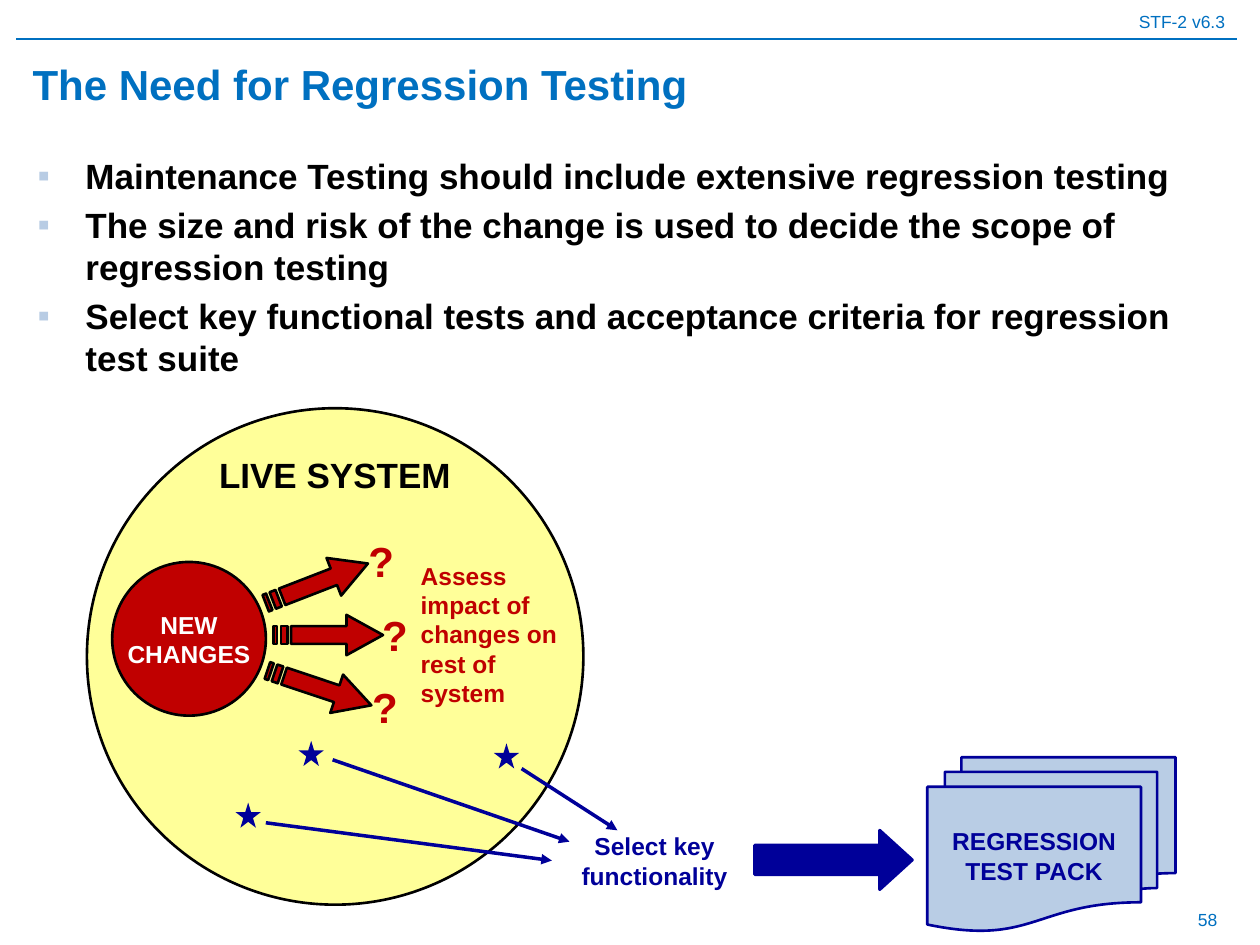
import pptx
import pptx.util
import pptx.dml.color
import pptx.enum.shapes
import pptx.enum.text
import pptx.oxml.ns
import lxml.etree

Inches = pptx.util.Inches
Shapes = pptx.enum.shapes.MSO_SHAPE
Align = pptx.enum.text.PP_ALIGN
Anchor = pptx.enum.text.MSO_ANCHOR

COLORS = {
    "blue": "0070C0", "black": "000000", "white": "FFFFFF", "bullet": "B8CCE4",
    "yellow": "FFFF99", "red": "C00000", "navy": "000099", "paper": "B9CDE5",
}
TITLE = "The Need for Regression Testing"
BULLETS = [
    "Maintenance Testing should include extensive regression testing",
    "The size and risk of the change is used to decide the scope of regression testing",
    "Select key functional tests and acceptance criteria for regression test suite",
]
IMPACT_ARROWS = [
    {"at": (2.08, 4.47), "rotation": 338.8, "mark": (2.81, 4.2)},
    {"at": (2.17, 4.88), "rotation": 0, "mark": (2.92, 4.79)},
    {"at": (2.1, 5.3), "rotation": 18.5, "mark": (2.84, 5.36)},
]
ARROW_OUTLINES = [
    [(0.58, 0), (0.58, 0.09), (0.14, 0.09), (0.14, 0.23), (0.58, 0.23), (0.58, 0.32), (0.87, 0.16)],
    [(0.06, 0.09), (0.06, 0.23), (0.11, 0.23), (0.11, 0.09)],
    [(0, 0.09), (0, 0.23), (0.03, 0.23), (0.03, 0.09)],
]
KEY_FUNCTIONS = [
    {"star": (3.92, 5.9), "start": (4.14, 6.1), "end": (4.9, 6.59)},
    {"star": (2.37, 5.88), "start": (2.64, 6.03), "end": (4.52, 6.68)},
    {"star": (1.87, 6.37), "start": (2.11, 6.53), "end": (4.38, 6.83)},
]

presentation = pptx.Presentation()
presentation.slide_width = Inches(10)
presentation.slide_height = Inches(7.5)
slide = presentation.slides.add_slide(presentation.slide_layouts[6])


def rgb(name):
    return pptx.dml.color.RGBColor.from_string(COLORS[name])


def add_xml(parent, tag, **attributes):
    return lxml.etree.SubElement(parent, pptx.oxml.ns.qn(tag), attributes)


def write_text(shape, text, size=14, color="black", bold=True, align=Align.LEFT,
               anchor=Anchor.TOP, wrap=True, inset=None, bullet=False):
    frame = shape.text_frame
    frame.word_wrap = wrap
    frame.vertical_anchor = anchor
    if inset is not None:
        frame.margin_left = frame.margin_right = Inches(inset)
        frame.margin_top = frame.margin_bottom = Inches(inset)
    lines = text if isinstance(text, list) else [text]
    for index, line in enumerate(lines):
        paragraph = frame.paragraphs[0] if index == 0 else frame.add_paragraph()
        if bullet:
            properties = paragraph._p.get_or_add_pPr()
            properties.set("marL", str(Inches(0.38)))
            properties.set("indent", str(-Inches(0.38)))
            add_xml(add_xml(properties, "a:buClr"), "a:srgbClr", val=COLORS["bullet"])
            add_xml(properties, "a:buFont", typeface="Arial")
            add_xml(properties, "a:buChar", char="▪")
        paragraph.alignment = align
        if index:
            paragraph.space_before = pptx.util.Pt(size * 0.2)
        run = paragraph.add_run()
        run.text = line
        run.font.name = "Arial"
        run.font.size = pptx.util.Pt(size)
        run.font.bold = bold
        run.font.color.rgb = rgb(color)


def add_text(box, text, **text_format):
    shape = slide.shapes.add_textbox(*map(Inches, box))
    write_text(shape, text, **text_format)


def paint(shape, fill, line=None, width=1.5):
    shape.shadow.inherit = False
    shape.fill.solid()
    shape.fill.fore_color.rgb = rgb(fill)
    if line:
        shape.line.color.rgb = rgb(line)
        shape.line.width = pptx.util.Pt(width)
    else:
        shape.line.fill.background()


def add_shape(kind, box, fill, line=None, width=1.5):
    shape = slide.shapes.add_shape(kind, *map(Inches, box))
    paint(shape, fill, line, width)
    return shape


def add_line(start, end, color, width, arrow=False):
    connector = slide.shapes.add_connector(
        pptx.enum.shapes.MSO_CONNECTOR.STRAIGHT, *map(Inches, start + end))
    connector.line.color.rgb = rgb(color)
    connector.line.width = pptx.util.Pt(width)
    if arrow:
        add_xml(connector.line._get_or_add_ln(), "a:tailEnd", type="triangle")
    add_xml(connector._element.spPr, "a:effectLst")


def add_striped_arrow(at, rotation):
    left, top = at
    builder = None
    for outline in ARROW_OUTLINES:
        points = [(Inches(left + x), Inches(top + y)) for x, y in outline]
        if builder is None:
            builder = slide.shapes.build_freeform(*points[0])
        else:
            builder.move_to(*points[0])
        builder.add_line_segments(points[1:], close=True)
    arrow = builder.convert_to_shape()
    paint(arrow, "red", "black")
    arrow.rotation = rotation


add_text((0, 0.04, 9.82, 0.27), "STF-2 v6.3", size=10, color="blue", bold=False, align=Align.RIGHT)
add_line((0.13, 0.31), (9.82, 0.31), "blue", 0.75)
add_text((7.43, 7.1, 2.33, 0.4), "58", size=10, color="blue", bold=False,
         align=Align.RIGHT, anchor=Anchor.MIDDLE)
add_text((0.2, 1.18, 9.65, 5.91), BULLETS, size=20, bullet=True)
add_text((0.16, 0.39, 9.61, 0.55), TITLE, size=24, color="blue", anchor=Anchor.MIDDLE)

add_shape(Shapes.OVAL, (0.69, 3.24, 3.94, 3.94), "yellow", "black")
add_text((1.64, 3.55, 2.04, 0.43), "LIVE SYSTEM", size=20, wrap=False)
add_shape(Shapes.OVAL, (0.89, 4.46, 1.22, 1.22), "red", "black")
changes = add_shape(Shapes.RECTANGLE, (0.95, 4.84, 1.1, 0.47), "red")
write_text(changes, "NEW CHANGES", color="white", align=Align.CENTER,
           anchor=Anchor.MIDDLE, inset=0)

for arrow in IMPACT_ARROWS:
    add_striped_arrow(arrow["at"], arrow["rotation"])
    add_text(arrow["mark"] + (0.43, 0.5), "?", size=24, color="red", align=Align.CENTER)
add_text((3.24, 4.4, 1.41, 1.28), "Assess impact of changes on rest of system", color="red")

for function in KEY_FUNCTIONS:
    add_shape(Shapes.STAR_5_POINT, function["star"] + (0.2, 0.2), "navy")
    add_line(function["start"], function["end"], "navy", 2, arrow=True)
add_text((4.4, 6.55, 1.59, 0.57), "Select key functionality", color="navy", align=Align.CENTER)

pack_arrow = add_shape(Shapes.RIGHT_ARROW, (5.99, 6.59, 1.25, 0.47), "navy", "navy", 1.75)
pack_arrow.adjustments[1] = 0.55
pack = add_shape(Shapes.FLOWCHART_MULTIDOCUMENT, (7.36, 6.01, 1.97, 1.38), "paper", "navy")
write_text(pack, "REGRESSION TEST PACK", color="navy", align=Align.CENTER, anchor=Anchor.MIDDLE)

presentation.save("out.pptx")
